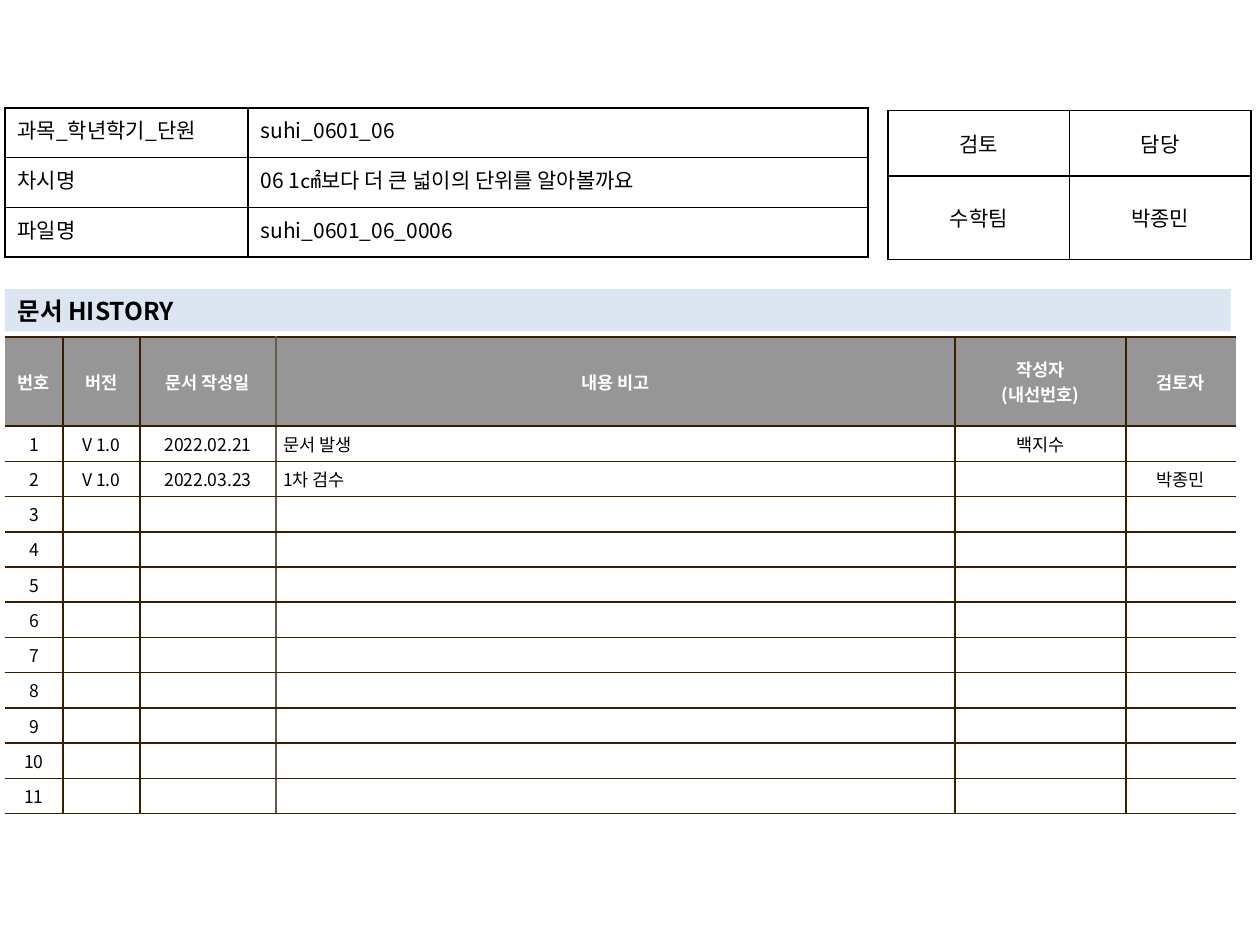
"""Build the document history slide with its lesson, review and revision tables."""
from lxml.etree import SubElement
from pptx import Presentation
from pptx.dml.color import RGBColor
from pptx.enum.text import MSO_ANCHOR as Anchor, MSO_AUTO_SIZE as AutoSize, PP_ALIGN as Align
from pptx.oxml.ns import qn
from pptx.util import Cm, Pt

FONT = "Noto Sans CJK KR"
BLACK = RGBColor(0x00, 0x00, 0x00)
WHITE = RGBColor(0xFF, 0xFF, 0xFF)
GRAY = RGBColor(0x96, 0x96, 0x96)
PALE_BLUE = RGBColor(0xDC, 0xE6, 0xF2)
BROWN = RGBColor(0x36, 0x20, 0x00)
TAUPE = RGBColor(0x64, 0x5B, 0x4C)


def format_text(frame, text, size, align, color=BLACK, bold=False):
    frame.text = text
    for para in frame.paragraphs:
        para.alignment = align
        for span in para.runs:
            span.font.size = Pt(size)
            span.font.bold = bold
            span.font.color.rgb = color
            span.font.name = FONT
            SubElement(span.font._element, qn("a:ea"), typeface=FONT)
        if not para.runs:
            SubElement(para._p, qn("a:endParaRPr"), sz=str(size * 100))


def add_plain_table(left, top, widths, heights, borders):
    frame = page.shapes.add_table(len(heights), len(widths), Cm(left), Cm(top),
                                  Cm(sum(widths)), Cm(sum(heights)))
    table = frame.table
    table.first_row = table.horz_banding = False
    for column, width in zip(table.columns, widths):
        column.width = Cm(width)
    for row, height in zip(table.rows, heights):
        row.height = Cm(height)
        for index, cell in enumerate(row.cells):
            colors = (borders[index], borders[index + 1], borders[0] or BROWN, borders[0] or BROWN)
            properties = cell._tc.get_or_add_tcPr()
            for side, color in zip("LRTB", colors):
                line = SubElement(properties, qn(f"a:ln{side}"), w=str(Pt(1)))
                if color is None:
                    SubElement(line, qn("a:noFill"))
                else:
                    fill = SubElement(line, qn("a:solidFill"))
                    SubElement(fill, qn("a:srgbClr"), val=str(color))
            cell.fill.background()
    return table


deck = Presentation()
deck.slide_width, deck.slide_height = Cm(25.4), Cm(19.05)
page = deck.slides.add_slide(deck.slide_layouts[5])

heading = page.shapes.title
heading.left, heading.top, heading.width, heading.height = Cm(0.1), Cm(5.83), Cm(24.71), Cm(0.85)
heading.fill.solid()
heading.fill.fore_color.rgb = PALE_BLUE
heading.text_frame.auto_size = AutoSize.NONE
heading.text_frame.vertical_anchor = Anchor.MIDDLE
format_text(heading.text_frame, "문서 HISTORY", 14, Align.LEFT, bold=True)

lesson_rows = [
    ("과목_학년학기_단원", "suhi_0601_06"),
    ("차시명", "06 1㎠보다 더 큰 넓이의 단위를 알아볼까요"),
    ("파일명", "suhi_0601_06_0006"),
]
lesson_table = add_plain_table(0.1, 2.18, [4.9, 12.5], [1] * 3, [BLACK] * 3)
for row, texts in zip(lesson_table.rows, lesson_rows):
    for cell, text, align in zip(row.cells, texts, (Align.JUSTIFY, Align.LEFT)):
        format_text(cell.text_frame, text, 12, align)

review_rows = [("검토", "담당"), ("수학팀", "박종민")]
review_table = add_plain_table(17.9, 2.23, [3.66] * 2, [1.32, 1.68], [BLACK] * 3)
for row, texts in zip(review_table.rows, review_rows):
    for cell, text in zip(row.cells, texts):
        cell.vertical_anchor = Anchor.MIDDLE
        format_text(cell.text_frame, text, 12, Align.CENTER)

history_rows = [
    ("번호", "버전", "문서 작성일", "내용 비고", "작성자\n(내선번호)", "검토자"),
    ("1", "V 1.0", "2022.02.21", "문서 발생", "백지수", ""),
    ("2", "V 1.0", "2022.03.23", "1차 검수", "", "박종민"),
]
history_rows += [(str(number), "", "", "", "", "") for number in range(3, 12)]
history_table = add_plain_table(0.1, 6.79, [1.17, 1.55, 2.74, 13.69, 3.45, 2.21],
                                [1.8] + [0.71] * 11,
                                [None, BROWN, BROWN, TAUPE, BROWN, BROWN, None])
for row_index, texts in enumerate(history_rows):
    is_header = row_index == 0
    for column_index, text in enumerate(texts):
        cell = history_table.cell(row_index, column_index)
        cell.vertical_anchor = Anchor.MIDDLE
        cell.margin_left = cell.margin_right = Cm(0.15)
        cell.margin_top = cell.margin_bottom = Cm(0.1)
        cell.fill.solid()
        cell.fill.fore_color.rgb = GRAY if is_header else WHITE
        align = Align.LEFT if column_index == 3 and not is_header else Align.CENTER
        format_text(cell.text_frame, text, 10, align, WHITE if is_header else BLACK, is_header)

deck.save("out.pptx")
